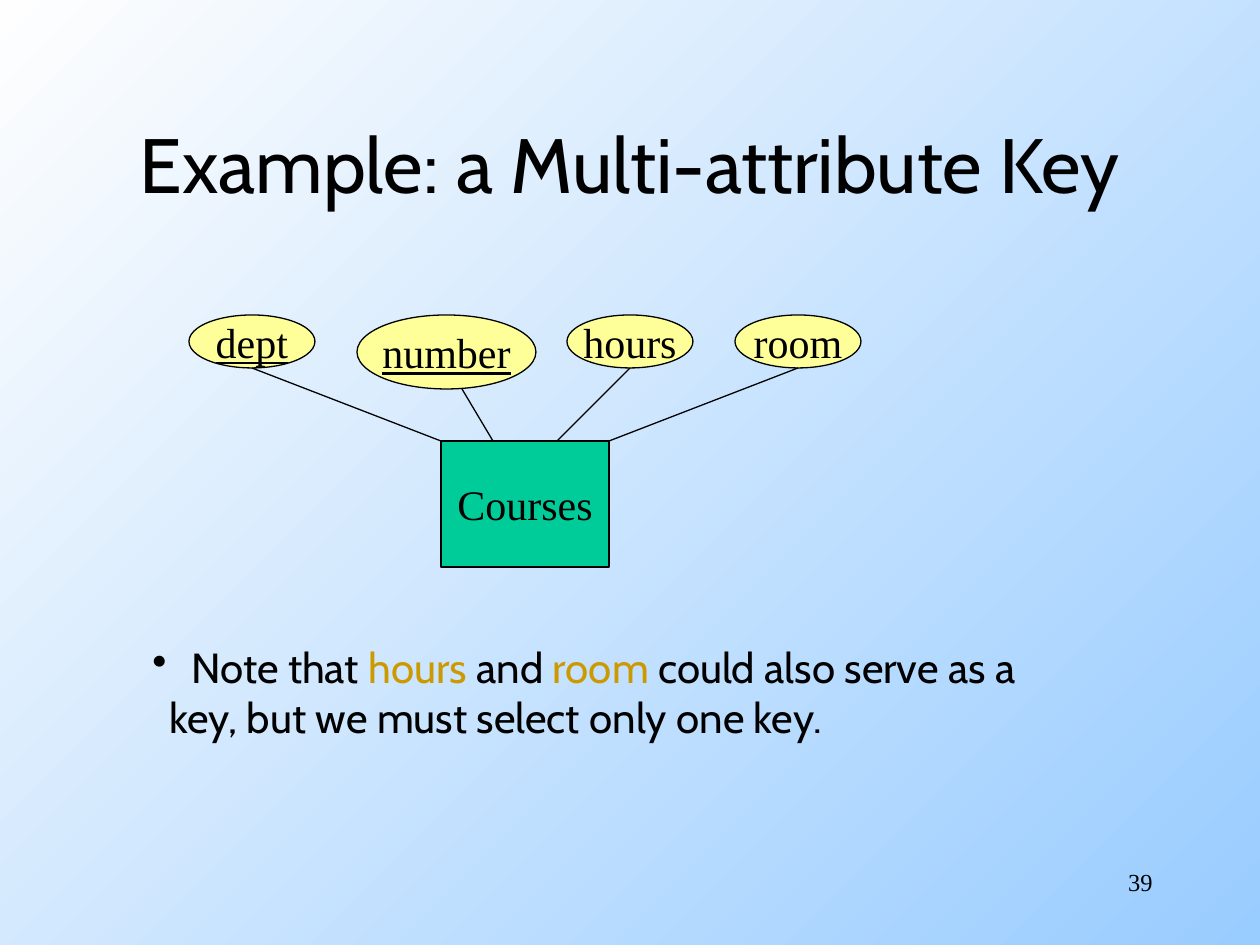
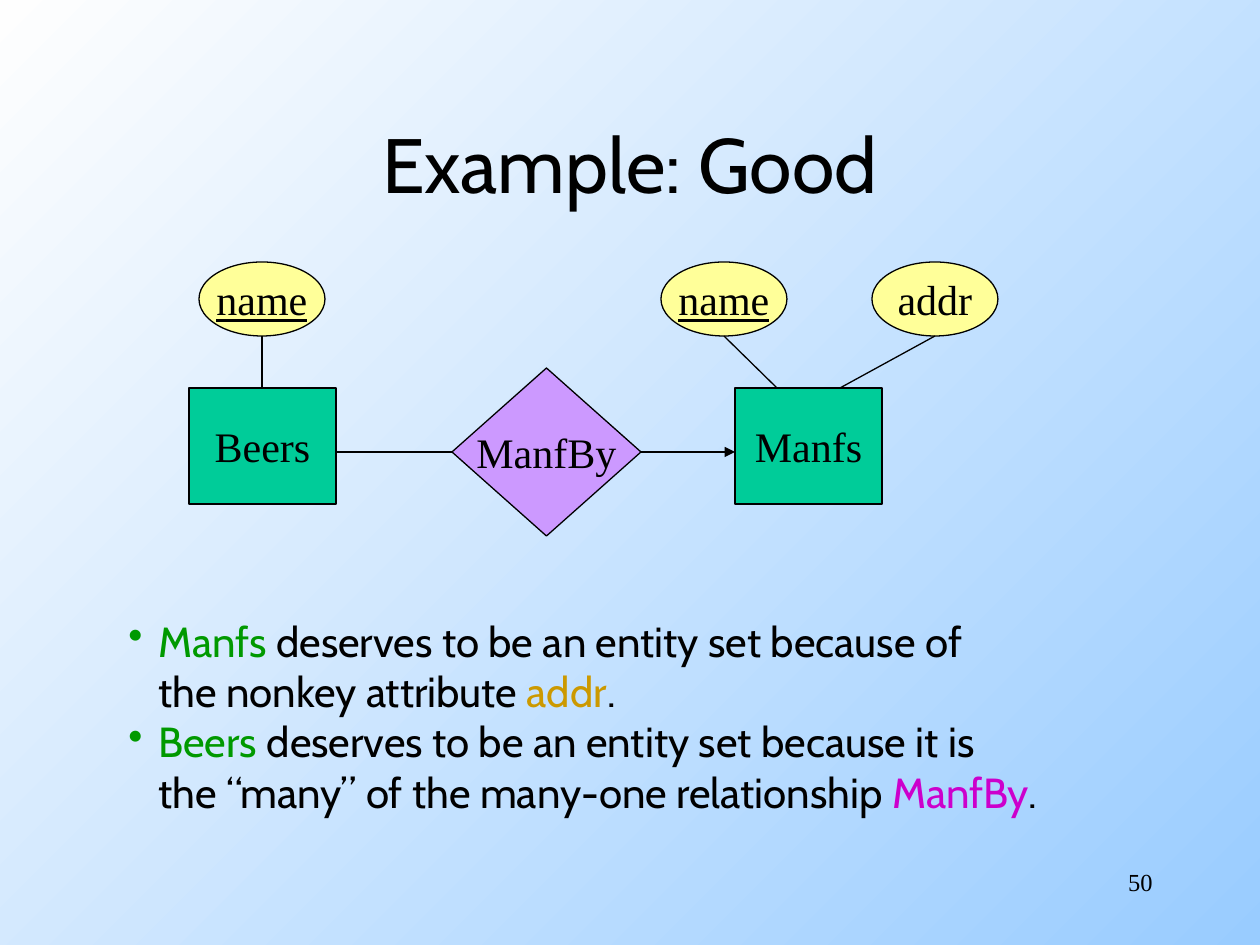
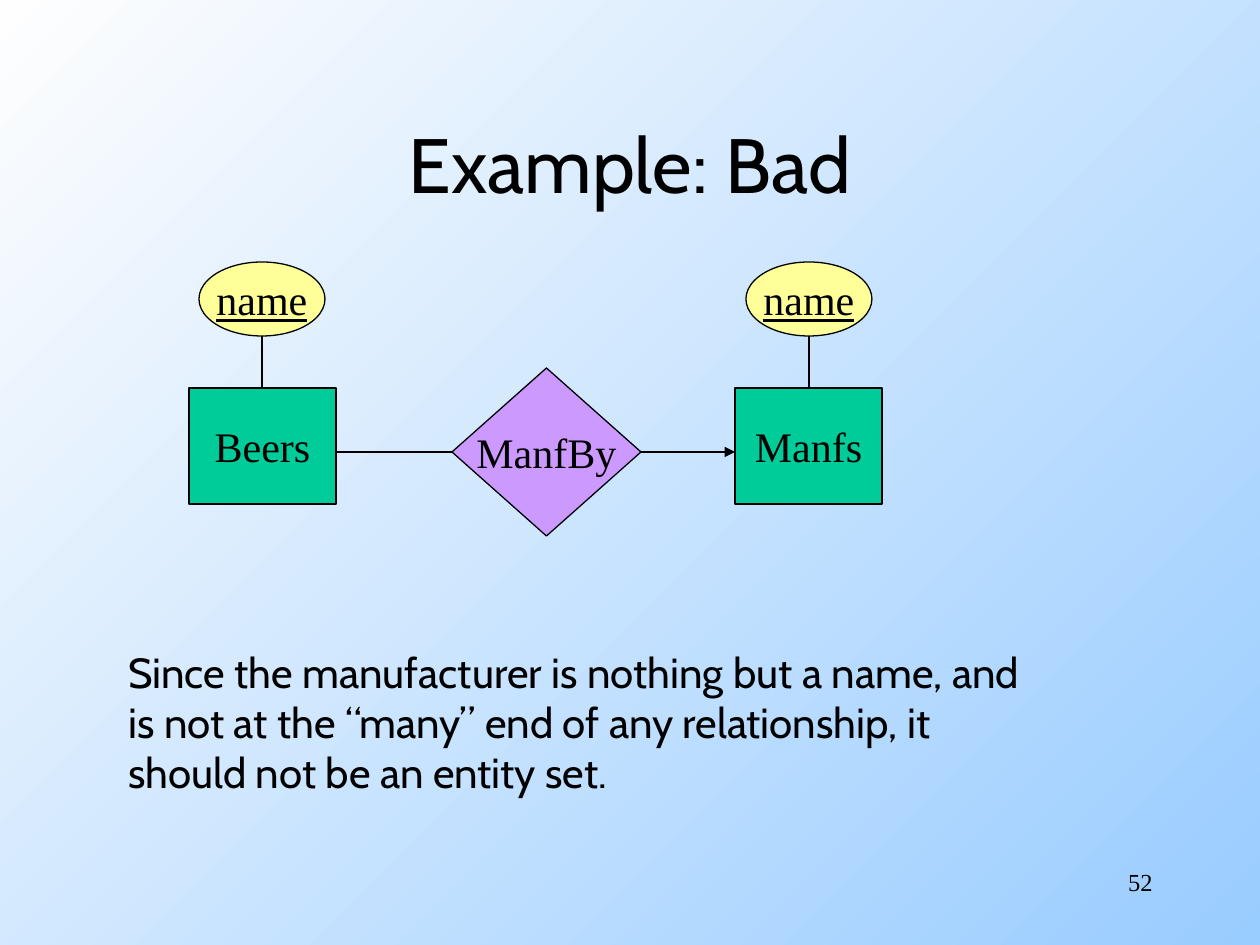
"""Build three slides of entity-relationship diagrams with explanatory notes."""
from dataclasses import dataclass

from lxml.etree import SubElement
from pptx import Presentation
from pptx.dml.color import RGBColor
from pptx.enum.shapes import MSO_CONNECTOR, MSO_SHAPE
from pptx.enum.text import MSO_ANCHOR, MSO_AUTO_SIZE, PP_ALIGN
from pptx.oxml.ns import qn
from pptx.util import Emu, Pt


@dataclass(frozen=True)
class Theme:
    ink: str = "000000"
    entity: str = "00CC99"
    attribute: str = "FFFF99"
    relationship: str = "CC99FF"
    entity_word: str = "009900"
    attribute_word: str = "CC9900"
    relationship_word: str = "CC00CC"
    sky: str = "99CCFF"
    light: str = "FEFEFE"
    sans: str = "Cabin"
    serif: str = "Times New Roman"
    title_size: int = 44
    text_size: int = 24
    number_size: int = 14
    line_width: float = 0.75


theme = Theme()


def px(length):
    return Emu(round(length * 914400 / 126))


def style(run, size, font, color=theme.ink):
    run.font.size = Pt(size)
    run.font.name = font
    run.font.color.rgb = RGBColor.from_string(color)


entity = (MSO_SHAPE.RECTANGLE, theme.entity)
attribute = (MSO_SHAPE.OVAL, theme.attribute)
relationship = (MSO_SHAPE.DIAMOND, theme.relationship)

manufacture_nodes = [
    ("Beers", entity, False, (189, 388, 147, 116)),
    ("Manfs", entity, False, (735, 388, 147, 116)),
    ("ManfBy", relationship, False, (452, 368, 189, 168)),
    ("name", attribute, True, (199, 262, 126, 74)),
]
manufacture_links = [
    (452, 452, 336, 452, False),
    (641, 452, 735, 452, True),
    (262, 336, 262, 388, False),
]

lessons = [
    {
        "title": "Example: a Multi-attribute Key",
        "number": "39",
        "nodes": [
            ("Courses", entity, False, (441, 441, 168, 126)),
            ("dept", attribute, True, (189, 315, 126, 53)),
            ("number", attribute, True, (357, 315, 179, 74)),
            ("hours", attribute, False, (567, 315, 126, 53)),
            ("room", attribute, False, (735, 315, 126, 53)),
        ],
        "links": [
            (252, 368, 441, 441, False),
            (462, 389, 493, 441, False),
            (630, 368, 557, 441, False),
            (798, 368, 609, 441, False),
        ],
        "note_box": (140, 635, 984, 114),
        "note": [
            (theme.ink, 39, [
                ("Note that ", theme.ink),
                ("hours", theme.attribute_word),
                (" and ", theme.ink),
                ("room", theme.attribute_word),
                (" could also serve as a", theme.ink),
            ]),
            (None, 17, [("key, but we must select only one key.", theme.ink)]),
        ],
    },
    {
        "title": "Example: Good",
        "number": "50",
        "nodes": manufacture_nodes + [
            ("name", attribute, True, (661, 262, 126, 74)),
            ("addr", attribute, False, (872, 262, 126, 74)),
        ],
        "links": manufacture_links + [
            (724, 336, 777, 388, False),
            (935, 336, 840, 388, False),
        ],
        "note_box": (116, 609, 947, 265),
        "note": [
            (theme.entity_word, 30, [
                ("Manfs", theme.entity_word),
                (" deserves to be an entity set because of", theme.ink),
                ("\v", None),
                ("the nonkey attribute ", theme.ink),
                ("addr", theme.attribute_word),
                (".", theme.ink),
            ]),
            (theme.entity_word, 30, [
                ("Beers", theme.entity_word),
                (" deserves to be an entity set because it is", theme.ink),
                ("\v", None),
                ("the “many” of the many-one relationship ", theme.ink),
                ("ManfBy", theme.relationship_word),
                (".", theme.ink),
            ]),
        ],
    },
    {
        "title": "Example: Bad",
        "number": "52",
        "nodes": manufacture_nodes + [
            ("name", attribute, True, (746, 262, 126, 74)),
        ],
        "links": manufacture_links + [(809, 336, 809, 388, False)],
        "note_box": (116, 640, 947, 164),
        "note": [
            (None, 0, [(
                "Since the manufacturer is nothing but a name, and is not at the "
                "“many” end of any relationship, it should not be an entity set.",
                theme.ink,
            )]),
        ],
    },
]

deck = Presentation()
deck.slide_width, deck.slide_height = px(1260), px(945)

backdrop = deck.slide_master.background.fill
backdrop.gradient()
backdrop.gradient_angle = 135
for stop, position, shade in zip(backdrop.gradient_stops, (0, 1), (theme.sky, theme.light)):
    stop.position = position
    stop.color.rgb = RGBColor.from_string(shade)

for lesson in lessons:
    slide = deck.slides.add_slide(deck.slide_layouts[5])

    title = slide.shapes.title
    title.left, title.top, title.width, title.height = map(px, (95, 84, 1070, 158))
    title.text_frame.text = lesson["title"]
    title.text_frame.vertical_anchor = MSO_ANCHOR.MIDDLE
    title.text_frame.auto_size = MSO_AUTO_SIZE.NONE
    heading = title.text_frame.paragraphs[0]
    heading.alignment = PP_ALIGN.CENTER
    style(heading.runs[0], theme.title_size, theme.sans)

    for label, (outline, fill), is_key, box in lesson["nodes"]:
        node = slide.shapes.add_shape(outline, *map(px, box))
        node.shadow.inherit = False
        node.fill.solid()
        node.fill.fore_color.rgb = RGBColor.from_string(fill)
        node.line.color.rgb = RGBColor.from_string(theme.ink)
        node.line.width = Pt(theme.line_width)
        node.text_frame.text = label
        node.text_frame.word_wrap = False
        node.text_frame.vertical_anchor = MSO_ANCHOR.MIDDLE
        caption = node.text_frame.paragraphs[0]
        caption.alignment = PP_ALIGN.CENTER
        style(caption.runs[0], theme.text_size, theme.serif)
        if is_key:
            caption.runs[0].font.underline = True

    for *ends, has_arrow in lesson["links"]:
        link = slide.shapes.add_connector(MSO_CONNECTOR.STRAIGHT, *map(px, ends))
        link.line.color.rgb = RGBColor.from_string(theme.ink)
        link.line.width = Pt(theme.line_width)
        properties = link.element.spPr
        if has_arrow:
            SubElement(properties.find(qn("a:ln")), qn("a:tailEnd"), type="triangle")
        SubElement(properties, qn("a:effectLst"))

    note = slide.shapes.add_textbox(*map(px, lesson["note_box"])).text_frame
    note.word_wrap = True
    for index, (bullet, margin, parts) in enumerate(lesson["note"]):
        paragraph = note.add_paragraph() if index else note.paragraphs[0]
        settings = paragraph._p.get_or_add_pPr()
        settings.set("marL", str(px(margin)))
        settings.set("indent", str(px(-margin if bullet else 0)))
        if bullet:
            tint = SubElement(settings, qn("a:buClr"))
            SubElement(tint, qn("a:srgbClr"), val=bullet)
            SubElement(settings, qn("a:buChar"), char="•")
        for words, color in parts:
            if words == "\v":
                paragraph.add_line_break()
                continue
            run = paragraph.add_run()
            run.text = words
            style(run, theme.text_size, theme.sans, color)

    page = slide.shapes.add_textbox(*map(px, (903, 861, 262, 63))).text_frame
    page.word_wrap = True
    page.text = lesson["number"]
    page.paragraphs[0].alignment = PP_ALIGN.RIGHT
    style(page.paragraphs[0].runs[0], theme.number_size, theme.serif)

deck.save("out.pptx")
